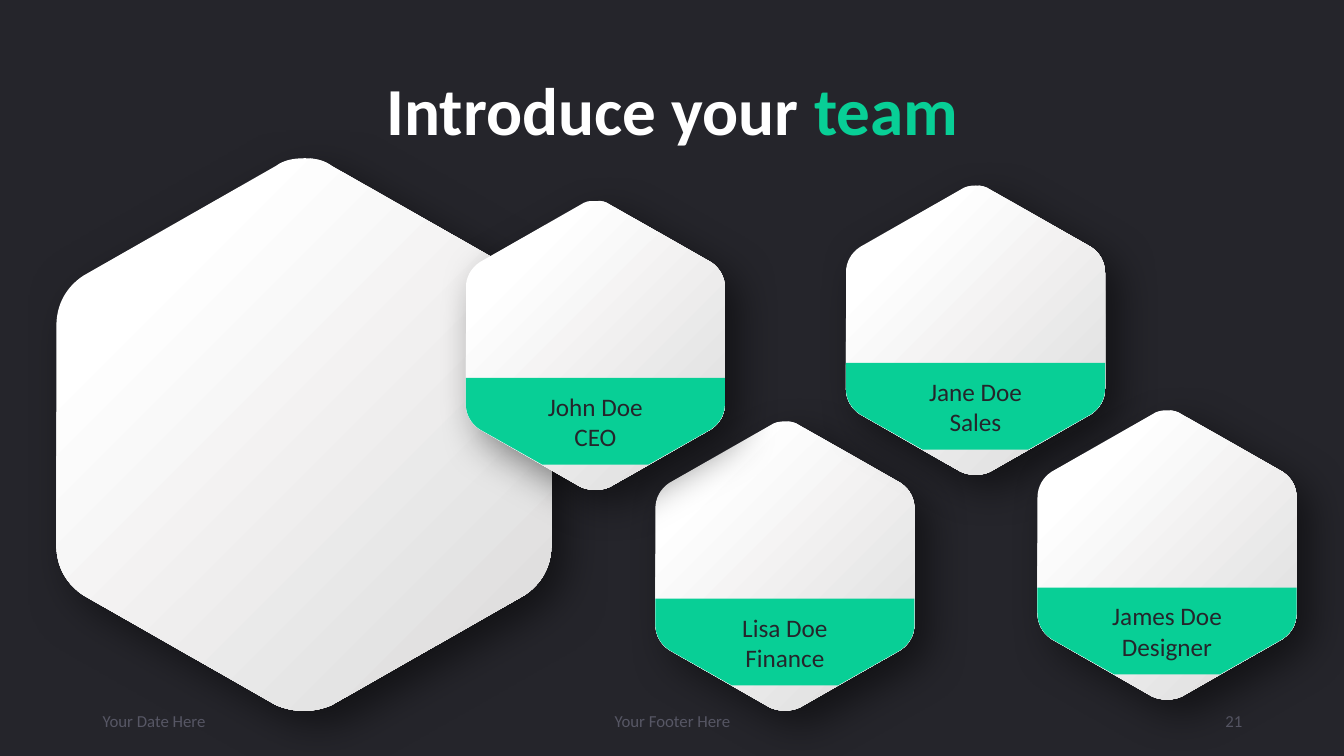
from lxml import etree
from pptx import Presentation
from pptx.dml.color import RGBColor
from pptx.enum.text import MSO_ANCHOR, PP_ALIGN
from pptx.oxml import parse_xml
from pptx.oxml.ns import qn
from pptx.util import Inches, Pt

DARK = RGBColor(0x25, 0x25, 0x2B)
GREEN = RGBColor(0x08, 0xCF, 0x96)
WHITE = RGBColor(0xFF, 0xFF, 0xFF)
SILVER = RGBColor(0xDA, 0xD9, 0xD9)
GREY = RGBColor(0x57, 0x57, 0x65)
FONT = "Calibri"
SHADOW = (
    '<a:effectLst xmlns:a="http://schemas.openxmlformats.org/drawingml/2006/main">'
    '<a:outerShdw blurRad="381000" dist="177800" dir="2700000" algn="tl" rotWithShape="0">'
    '<a:srgbClr val="000000"><a:alpha val="50000"/></a:srgbClr>'
    '</a:outerShdw></a:effectLst>'
)

lower_right = [(2.57, 2.12), (2.52, 2.21), (2.43, 2.27)]
lower_left = [(0.05, 2.21), (0, 2.12), (0, 2.01)]
hexagon = [
    [(1.29, 0)],
    [(1.34, 0), (1.39, 0.01), (1.43, 0.04)],
    [(2.43, 0.61)],
    [(2.52, 0.67), (2.57, 0.76), (2.57, 0.87)],
    [(2.57, 2.01)],
    lower_right,
    [(1.43, 2.84)],
    [(1.34, 2.88), (1.23, 2.88), (1.14, 2.84)],
    [(0.14, 2.27)],
    lower_left,
    [(0, 0.87)],
    [(0, 0.76), (0.05, 0.67), (0.14, 0.61)],
    [(1.14, 0.04)],
    [(1.18, 0.01), (1.23, 0), (1.29, 0)],
]
band = [
    [(0, 1.76)],
    [(2.57, 1.76)],
    [(2.57, 2.01)],
    lower_right,
    [(1.81, 2.62)],
    [(0.76, 2.62)],
    [(0.14, 2.27)],
    lower_left,
]

prs = Presentation()
prs.slide_width = Inches(13.33)
prs.slide_height = Inches(7.5)
s = prs.slides.add_slide(prs.slide_layouts[5])
s.background.fill.solid()
s.background.fill.fore_color.rgb = DARK


def add_outline(segments, left, top, scale=1):
    pts = [(Inches(left + x * scale), Inches(top + y * scale)) for seg in segments for x, y in seg]
    builder = s.shapes.build_freeform(*pts[0])
    builder.add_line_segments(pts[1:], close=True)
    sp = builder.convert_to_shape()
    lines = iter(list(sp._element.iter(qn("a:lnTo"))))
    for seg in segments[1:]:
        parts = [next(lines) for _ in seg]
        if len(parts) == 3:
            curve = etree.Element(qn("a:cubicBezTo"))
            parts[0].addprevious(curve)
            for part in parts:
                curve.append(part[0])
                part.getparent().remove(part)
    sp.shadow.inherit = False
    sp.line.fill.background()
    return sp


title = s.shapes.title
title.left, title.top, title.width, title.height = (Inches(v) for v in (0.92, 0.4, 11.5, 1.45))
tf = title.text_frame
tf.vertical_anchor = MSO_ANCHOR.MIDDLE
p = tf.paragraphs[0]
p.alignment = PP_ALIGN.CENTER
p.line_spacing = 0.9
p.font.name = FONT
p.font.size = Pt(48)
p.font.bold = True
for text, color in (("Introduce your ", WHITE), ("team", GREEN)):
    r = p.add_run()
    r.text = text
    r.font.color.rgb = color

for text, left, width, align in (
    ("Your Date Here", 0.92, 3, PP_ALIGN.LEFT),
    ("Your Footer Here", 4.42, 4.5, PP_ALIGN.CENTER),
    ("21", 9.42, 3, PP_ALIGN.RIGHT),
):
    tf = s.shapes.add_textbox(Inches(left), Inches(6.95), Inches(width), Inches(0.4)).text_frame
    tf.word_wrap = True
    tf.vertical_anchor = MSO_ANCHOR.MIDDLE
    p = tf.paragraphs[0]
    p.text = text
    p.alignment = align
    p.font.name = FONT
    p.font.size = Pt(12)
    p.font.color.rgb = GREY

for label, left, top, scale in (
    ("Lisa Doe\nFinance", 6.5, 4.18, 1),
    ("Jane Doe\nSales", 8.39, 1.84, 1),
    ("James Doe\nDesigner", 10.29, 4.07, 1),
    (None, 0.56, 1.57, 1.91),
    ("John Doe\nCEO", 4.62, 1.99, 1),
):
    sp = add_outline(hexagon, left, top, scale)
    sp.fill.gradient()
    sp.fill.gradient_angle = 315
    for stop, position, color in zip(sp.fill.gradient_stops, (0.2, 1), (WHITE, SILVER)):
        stop.position = position
        stop.color.rgb = color
    spPr = sp._element.spPr
    spPr.replace(spPr.find(qn("a:effectLst")), parse_xml(SHADOW))
    if label is None:
        continue

    sp = add_outline(band, left, top)
    sp.fill.solid()
    sp.fill.fore_color.rgb = GREEN
    tf = sp.text_frame
    tf.word_wrap = True
    tf.vertical_anchor = MSO_ANCHOR.MIDDLE
    tf.text = label
    for p in tf.paragraphs:
        p.alignment = PP_ALIGN.CENTER
        p.font.name = FONT
        p.font.size = Pt(18)
        p.font.color.rgb = DARK

prs.save("out.pptx")
